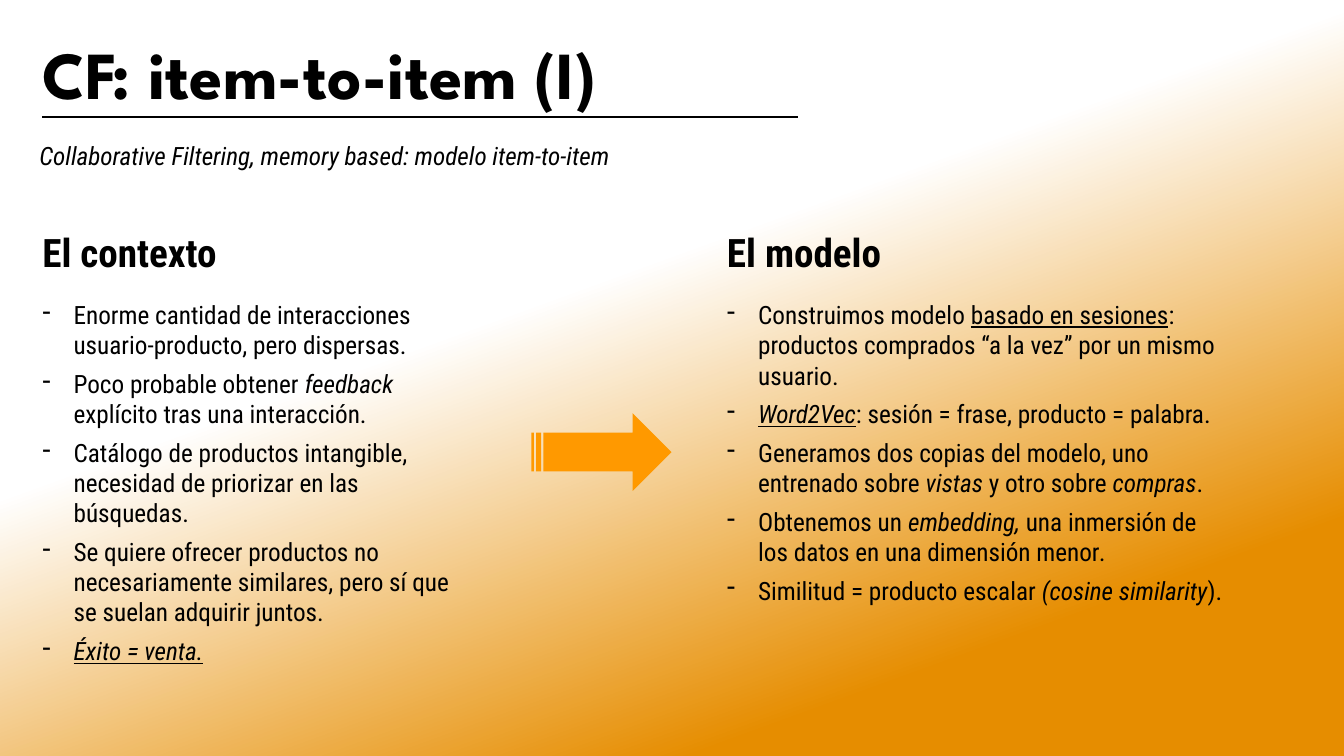
from lxml import etree
from pptx import Presentation
from pptx import util as u
from pptx.dml.color import RGBColor
from pptx.enum import shapes, text
from pptx.oxml.ns import qn

COLORS = {"ink": "000000", "paper": "FFFFFF", "amber": "E68D00", "arrow": "FF9900"}
HEADING_FONT, BODY_FONT = "League Spartan", "Roboto Condensed"
WIDTH, HEIGHT = 13.33, 7.5
MARGIN, MODEL_LEFT = 0.42, 7.21
HEADING_TOP, POINTS_TOP = 2.26, 2.97
INDENT = 0.31

CONTEXT = [
    [("Enorme cantidad de interacciones usuario-producto, pero dispersas.", "")],
    [("Poco probable obtener ", ""), ("feedback", "i"),
     (" explícito tras una interacción.", "")],
    [("Catálogo de productos intangible, necesidad de priorizar en las búsquedas.", "")],
    [("Se quiere ofrecer productos no necesariamente similares, "
      "pero sí que se suelan adquirir juntos.", "")],
    [("Éxito = venta.", "iu")],
]
MODEL = [
    [("Construimos modelo ", ""), ("basado en sesiones", "u"),
     (": productos comprados “a la vez” por un mismo usuario.", "")],
    [("Word2Vec", "iu"), (": sesión = frase, producto = palabra.", "")],
    [("Generamos dos copias del modelo, uno entrenado sobre ", ""), ("vistas ", "i"),
     ("y otro sobre ", ""), ("compras", "i"), (".", "")],
    [("Obtenemos un ", ""), ("embedding, ", "i"),
     ("una inmersión de los datos en una dimensión menor", ""), (".", "i")],
    [("Similitud = producto escalar ", ""), ("(cosine similarity", "i"), (").", "")],
]


def color(name):
    """Return a palette colour."""
    return RGBColor.from_string(COLORS[name])


def add_dash(paragraph):
    """Give a paragraph a hanging dash."""
    properties = paragraph._p.get_or_add_pPr()
    properties.set("marL", str(u.Inches(INDENT)))
    properties.set("indent", str(-u.Inches(INDENT)))
    etree.SubElement(properties, qn("a:buChar"), char="-")


def add_text(slide, box, paragraphs, size, font=BODY_FONT, dashed=False):
    """Write paragraphs of (wording, style) runs in a box and return its frame."""
    frame = slide.shapes.add_textbox(*map(u.Inches, box)).text_frame
    frame.word_wrap = True
    frame.margin_left = frame.margin_top = frame.margin_right = frame.margin_bottom = 0
    for index, runs in enumerate(paragraphs):
        paragraph = frame.paragraphs[0] if index == 0 else frame.add_paragraph()
        if dashed:
            add_dash(paragraph)
        paragraph.space_before = u.Pt(3 if index else 0)
        paragraph.space_after = u.Pt(3 if dashed else 0)
        for wording, style in runs:
            run = paragraph.add_run()
            run.text = wording
            run.font.name, run.font.size = font, u.Pt(size)
            run.font.color.rgb = color("ink")
            run.font.bold = "b" in style
            run.font.italic = "i" in style
            run.font.underline = "u" in style
    return frame


def paint_background(slide):
    """Fade the slide from amber at lower right to white at upper left."""
    fill = slide.background.fill
    fill.gradient()
    fill.gradient_angle = 110
    stops = zip(fill.gradient_stops, ((0.19, "amber"), (0.6, "paper")))
    for stop, (position, name) in stops:
        stop.position = position
        stop.color.rgb = color(name)


def add_header(slide, left, top):
    """Place the title, its rule and the subtitle."""
    title = add_text(slide, (left, top, 9.72, 0.83),
                     [[("CF: item-to-item (I)", "b")]], 48, HEADING_FONT)
    title.vertical_anchor = text.MSO_ANCHOR.BOTTOM
    title.paragraphs[0].line_spacing = 0.93
    rule_y = u.Inches(top + 0.85)
    rule = slide.shapes.add_connector(shapes.MSO_CONNECTOR.STRAIGHT, u.Inches(left),
                                      rule_y, u.Inches(left + 7.49), rule_y)
    rule.line.color.rgb = color("ink")
    rule.line.width = u.Pt(1)
    etree.SubElement(rule._element.spPr, qn("a:effectLst"))
    subtitle = add_text(
        slide, (left - 0.03, top + 1.08, 8.88, 0.38),
        [[("Collaborative Filtering, memory based: modelo item-to-item", "i")]], 18)
    subtitle.paragraphs[0].alignment = text.PP_ALIGN.JUSTIFY


def add_column(slide, left, width, height, heading, points):
    """Place a heading above its dashed points."""
    add_text(slide, (left, HEADING_TOP, 2.73, 0.38), [[(heading, "b")]], 28)
    add_text(slide, (left, POINTS_TOP, width, height), points, 18, dashed=True)


def add_arrow(slide, box):
    """Place the striped arrow that leads from context to model."""
    arrow = slide.shapes.add_shape(shapes.MSO_SHAPE.STRIPED_RIGHT_ARROW,
                                   *map(u.Inches, box))
    arrow.shadow.inherit = False
    arrow.fill.solid()
    arrow.fill.fore_color.rgb = color("arrow")
    arrow.line.fill.background()


def main():
    """Build and save the slide."""
    deck = Presentation()
    deck.slide_width, deck.slide_height = u.Inches(WIDTH), u.Inches(HEIGHT)
    slide = deck.slides.add_slide(deck.slide_layouts[6])
    paint_background(slide)
    add_header(slide, MARGIN, 0.31)
    add_column(slide, MARGIN, 4.32, 3.44, "El contexto", CONTEXT)
    add_column(slide, MODEL_LEFT, 4.97, 3.16, "El modelo", MODEL)
    add_arrow(slide, (5.27, 4.1, 1.39, 0.77))
    deck.save("out.pptx")


if __name__ == "__main__":
    main()
